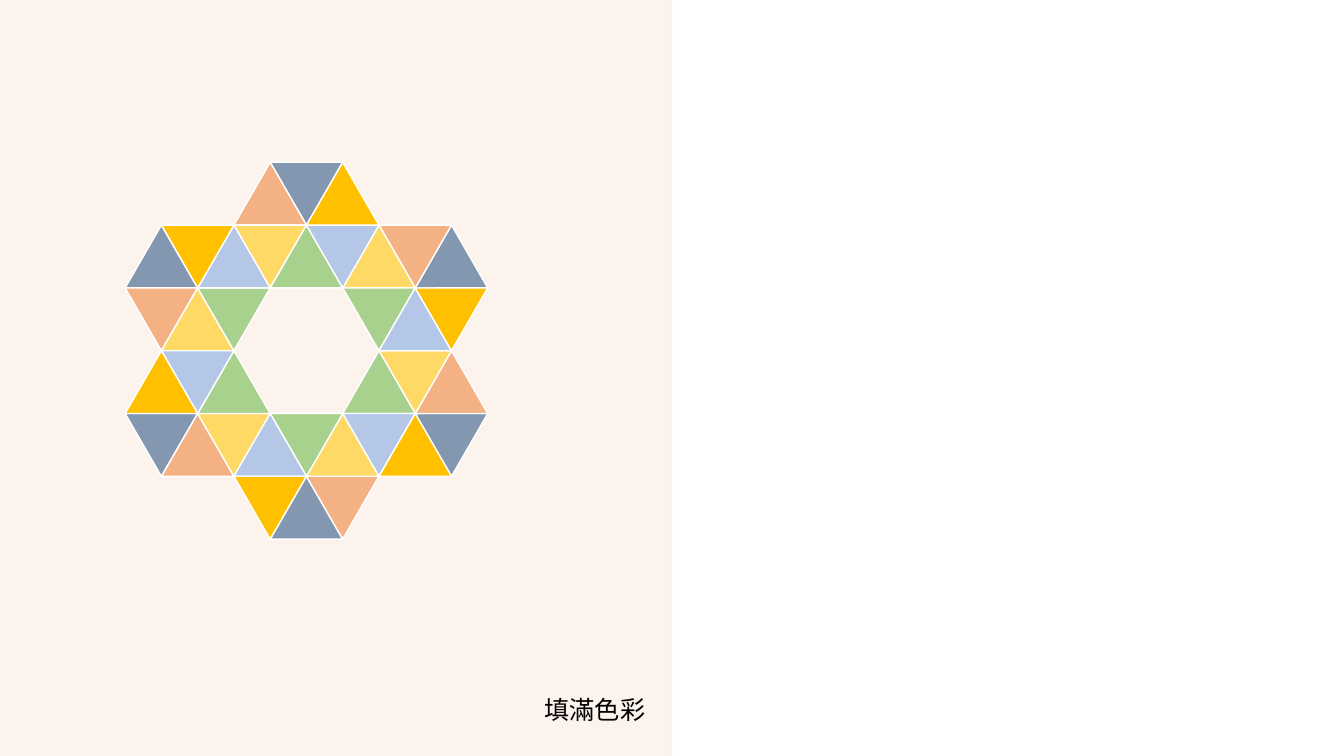
from math import cos, radians, sin, sqrt

from lxml.etree import SubElement
from pptx import Presentation
from pptx.dml.color import RGBColor
from pptx.enum.shapes import MSO_CONNECTOR as CONNECTOR, MSO_SHAPE as SHAPE
from pptx.enum.text import MSO_AUTO_SIZE as AUTO_SIZE, PP_ALIGN as ALIGN
from pptx.oxml.ns import qn
from pptx.util import Pt

WHITE = RGBColor(0xFF, 0xFF, 0xFF)
BLACK = RGBColor(0x00, 0x00, 0x00)
SLATE = RGBColor(0x84, 0x97, 0xB0)
PEACH = RGBColor(0xF4, 0xB1, 0x83)
YELLOW = RGBColor(0xFF, 0xD9, 0x66)
GREEN = RGBColor(0xA9, 0xD1, 0x8E)
BLUE = RGBColor(0xB4, 0xC7, 0xE7)
AMBER = RGBColor(0xFF, 0xC0, 0x00)
PALE = RGBColor(0xFB, 0xE5, 0xD6)

CAPTION = "填滿色彩"
FONT = "Times New Roman"

SLIDE_W, SLIDE_H = 960, 540
PANEL_W = SLIDE_W / 2
CENTER_X, CENTER_Y = 218.9, 250.5
SIDE = 51.8
HEIGHT = SIDE * sqrt(3) / 2

# color, offset in sides, offset in heights, rotation
RINGS = [
    (SLATE, 0, 2.5, 0),
    (PEACH, 0.375, 2.25, 300),
    (YELLOW, 0.375, 1.75, 240),
    (GREEN, 0, 1.5, 180),
    (BLUE, -0.375, 1.75, 120),
    (AMBER, -0.375, 2.25, 60),
]


def set_alpha(fill, percent):
    color = fill._xPr.find(qn("a:solidFill"))[0]
    SubElement(color, qn("a:alpha")).set("val", str(percent * 1000))


def add_panel(slide):
    sp = slide.shapes.add_shape(SHAPE.RECTANGLE, 0, 0, Pt(PANEL_W), Pt(SLIDE_H))
    sp.shadow.inherit = False
    sp.fill.solid()
    sp.fill.fore_color.rgb = PEACH
    set_alpha(sp.fill, 14)
    sp.line.fill.background()

    edge = slide.shapes.add_connector(
        CONNECTOR.STRAIGHT, Pt(PANEL_W), Pt(SLIDE_H), Pt(PANEL_W), 0)
    edge.line.color.rgb = PALE
    edge.line.width = Pt(0.25)
    set_alpha(edge.line.fill, 50)
    SubElement(edge._element.spPr, qn("a:effectLst"))


def add_ring(slide, color, across, down, rotation):
    group = slide.shapes.add_group_shape()
    dx, dy = across * SIDE, down * HEIGHT
    for turn in range(0, 360, 60):
        angle = radians(turn)
        x = CENTER_X + dx * cos(angle) + dy * sin(angle)
        y = CENTER_Y - dx * sin(angle) + dy * cos(angle)
        sp = group.shapes.add_shape(
            SHAPE.ISOSCELES_TRIANGLE, Pt(x - SIDE / 2), Pt(y - HEIGHT / 2),
            Pt(SIDE), Pt(HEIGHT))
        sp.rotation = (rotation - turn) % 360
        sp.shadow.inherit = False
        sp.fill.solid()
        sp.fill.fore_color.rgb = color
        sp.line.color.rgb = WHITE
        sp.line.width = Pt(1)


def add_caption(slide):
    tf = slide.shapes.add_textbox(Pt(229.7), Pt(492.5), Pt(238.3), Pt(29)).text_frame
    tf.word_wrap = True
    tf.auto_size = AUTO_SIZE.SHAPE_TO_FIT_TEXT
    p = tf.paragraphs[0]
    p.alignment = ALIGN.RIGHT
    r = p.add_run()
    r.text = CAPTION
    r.font.name = FONT
    r.font.size = Pt(18)
    r.font.color.rgb = BLACK


def main():
    prs = Presentation()
    prs.slide_width, prs.slide_height = Pt(SLIDE_W), Pt(SLIDE_H)
    slide = prs.slides.add_slide(prs.slide_layouts[6])
    add_panel(slide)
    for ring in RINGS:
        add_ring(slide, *ring)
    add_caption(slide)
    prs.save("out.pptx")


if __name__ == "__main__":
    main()
